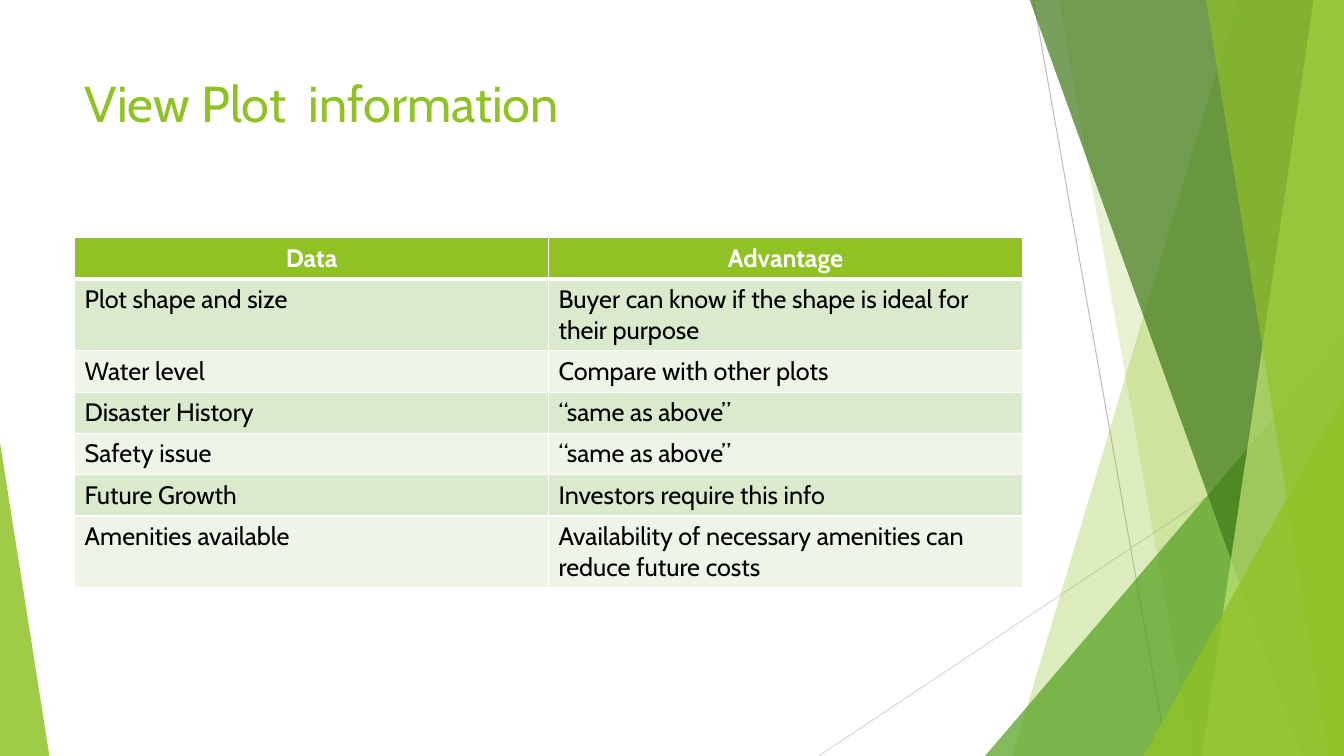
from lxml import etree
from pptx import Presentation
from pptx.dml.color import RGBColor
from pptx.enum.shapes import MSO_CONNECTOR, MSO_SHAPE
from pptx.enum.text import MSO_ANCHOR, PP_ALIGN
from pptx.oxml.ns import qn
from pptx.util import Inches, Pt

STRAIGHT = MSO_CONNECTOR.STRAIGHT
WEDGE = MSO_SHAPE.ISOSCELES_TRIANGLE
TOP = MSO_ANCHOR.TOP
LEFT, CENTER = PP_ALIGN.LEFT, PP_ALIGN.CENTER

GREEN = RGBColor(0x90, 0xC2, 0x26)
LEAF = RGBColor(0x54, 0xA0, 0x21)
FOREST = RGBColor(0x3F, 0x78, 0x19)
LIME = RGBColor(0xC0, 0xE4, 0x74)
BANDS = (RGBColor(0xDB, 0xE9, 0xCD), RGBColor(0xEE, 0xF4, 0xE8))
GRAY = RGBColor(0xBF, 0xBF, 0xBF)
SILVER = RGBColor(0xD9, 0xD9, 0xD9)
WHITE = RGBColor(0xFF, 0xFF, 0xFF)
BLACK = RGBColor(0, 0, 0)

FONT = "Cabin"
WIDTH, HEIGHT = 13.33, 7.5
EDGE = -0.01  # top of the tall panes

ROWS = [
    ("Data", "Advantage"),
    ("Plot shape and size",
     "Buyer can know if the shape is ideal for their purpose"),
    ("Water level", "Compare with other plots"),
    ("Disaster History", "“same as above”"),
    ("Safety issue", "“same as above”"),
    ("Future Growth", "Investors require this info"),
    ("Amenities available",
     "Availability of necessary amenities can reduce future costs"),
]


def put_text(frame, text, size=18, color=BLACK, bold=False, align=LEFT):
    para = frame.paragraphs[0]
    para.alignment = align
    run = para.add_run()
    run.text = text
    font = run.font
    font.name, font.size, font.bold = FONT, Pt(size), bold
    font.color.rgb = color


def tint(shape, color, alpha):
    """Fill a shape with a partly clear colour and no outline."""
    shape.shadow.inherit = False
    shape.line.fill.background()
    shape.fill.solid()
    shape.fill.fore_color.rgb = color
    mark = shape.fill._xPr.find(qn("a:solidFill"))[0]
    etree.SubElement(mark, qn("a:alpha"), val=str(alpha * 1000))


def add_line(slide, start, end, color):
    ends = [Inches(n) for n in (*start, *end)]
    line = slide.shapes.add_connector(STRAIGHT, *ends)
    line.line.color.rgb = color
    line.line.width = Pt(0.75)
    etree.SubElement(line._element.spPr, qn("a:effectLst"))


def add_pane(slide, top, base, color, alpha):
    """Draw a tall pane from a slanted left side to the slide's edge."""
    form = slide.shapes.build_freeform(Inches(top), Inches(EDGE))
    points = [(WIDTH, EDGE), (WIDTH, HEIGHT), (base, HEIGHT)]
    form.add_line_segments([(Inches(x), Inches(y)) for x, y in points])
    tint(form.convert_to_shape(), color, alpha)


def add_wedge(slide, left, top, width, peak, color, alpha):
    """Draw a triangle that stands on the slide's lower edge."""
    wedge = slide.shapes.add_shape(WEDGE, Inches(left), Inches(top),
                                   Inches(width), Inches(HEIGHT - top))
    wedge.adjustments[0] = peak
    tint(wedge, color, alpha)


def add_border(cell, side, width):
    line = etree.SubElement(cell._tc.get_or_add_tcPr(), qn("a:ln" + side),
                            w=str(Pt(width)))
    fill = etree.SubElement(line, qn("a:solidFill"))
    etree.SubElement(fill, qn("a:srgbClr"), val=str(WHITE))


def fill_cell(cell, text, row):
    head = row == 0
    for side in "LRTB":
        thick = (head and side == "B") or (row == 1 and side == "T")
        add_border(cell, side, 3 if thick else 1)
    cell.fill.solid()
    cell.fill.fore_color.rgb = GREEN if head else BANDS[(row - 1) % 2]
    put_text(cell.text_frame, text, bold=head,
             color=WHITE if head else BLACK,
             align=CENTER if head else LEFT)


def add_grid(slide, rows, left, top, width, step):
    count = len(rows[0])
    frame = slide.shapes.add_table(len(rows), count, Inches(left), Inches(top),
                                   Inches(width), Inches(step * len(rows)))
    table = frame.table
    table.horz_banding = False
    for col in table.columns:
        col.width = Inches(width / count)
    for r, texts in enumerate(rows):
        table.rows[r].height = Inches(step)
        for c, text in enumerate(texts):
            fill_cell(table.cell(r, c), text, r)


def add_title(slide, text):
    title = slide.shapes.title
    title.left, title.top = Inches(0.74), Inches(0.67)
    title.width, title.height = Inches(9.4), Inches(0.9)
    title.text_frame.vertical_anchor = TOP
    put_text(title.text_frame, text, size=36, color=GREEN)


def main():
    deck = Presentation()
    deck.slide_width, deck.slide_height = Inches(WIDTH), Inches(HEIGHT)
    slide = deck.slides.add_slide(deck.slide_layouts[5])

    # Green facets, from back to front
    add_line(slide, (10.25, 0), (11.58, HEIGHT), GRAY)
    add_line(slide, (WIDTH, 4.03), (8.12, HEIGHT), SILVER)
    add_pane(slide, 12.28, 10.04, GREEN, 30)
    add_pane(slide, 10.5, 11.83, GREEN, 20)
    add_wedge(slide, 9.77, 3.33, 3.56, 1, LEAF, 72)
    add_pane(slide, 10.21, 12.91, FOREST, 70)
    add_pane(slide, 13.03, 11.92, LIME, 70)
    add_pane(slide, 11.96, 13.18, GREEN, 65)
    add_wedge(slide, 11.34, 3.93, 1.99, 1, GREEN, 80)
    add_wedge(slide, 0, 4.39, 0.49, 0, GREEN, 85)

    # Title and table
    add_title(slide, "View Plot  information")
    add_grid(slide, ROWS, 0.74, 2.36, 9.4, 0.41)

    deck.save("out.pptx")


if __name__ == "__main__":
    main()
